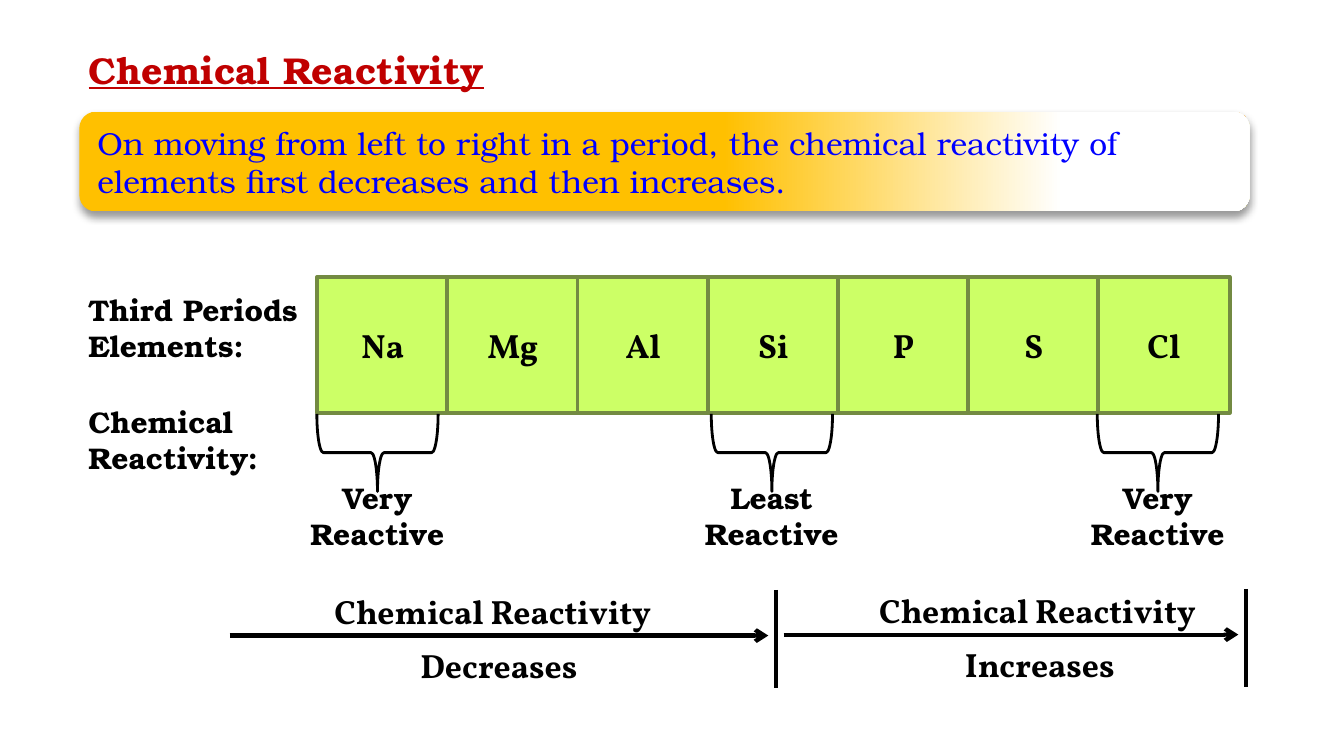
import pptx
import pptx.util
import pptx.dml.color
import pptx.enum.shapes
import pptx.enum.text
import pptx.oxml
import pptx.oxml.ns
import lxml.etree

Pt = pptx.util.Pt
RGB = pptx.dml.color.RGBColor
SHAPE = pptx.enum.shapes.MSO_SHAPE
ALIGN = pptx.enum.text.PP_ALIGN
ANCHOR = pptx.enum.text.MSO_ANCHOR

BLACK = RGB(0x00, 0x00, 0x00)
WHITE = RGB(0xFF, 0xFF, 0xFF)
RED = RGB(0xC0, 0x00, 0x00)
BLUE = RGB(0x00, 0x00, 0xFF)
GOLD = RGB(0xFF, 0xC0, 0x00)
LIME = RGB(0xCC, 0xFF, 0x66)
OLIVE = RGB(0x73, 0x8A, 0x42)
BONUM = "TeX Gyre Bonum"
VOLL = "Vollkorn"

deck = pptx.Presentation()
deck.slide_width = Pt(720)
deck.slide_height = Pt(405)
slide = deck.slides.add_slide(deck.slide_layouts[5])
shapes = slide.shapes


def write(shape, text, face, size, color=BLACK, bold=True, align=ALIGN.LEFT,
          anchor=ANCHOR.TOP, wrap=True):
    frame = shape.text_frame
    frame.text = text
    frame.word_wrap = wrap
    frame.auto_size = pptx.enum.text.MSO_AUTO_SIZE.NONE
    frame.vertical_anchor = anchor
    for para in frame.paragraphs:
        para.alignment = align
        para.font.name = face
        para.font.size = Pt(size)
        para.font.bold = bold
        para.font.color.rgb = color


def rule(x1, y1, x2, y2, arrow=False):
    line = shapes.add_connector(pptx.enum.shapes.MSO_CONNECTOR.STRAIGHT,
                                Pt(x1), Pt(y1), Pt(x2), Pt(y2))
    line.line.color.rgb = BLACK
    line.line.width = Pt(2.25)
    props = line.element.spPr
    if arrow:
        tail = lxml.etree.SubElement(line.line._get_or_add_ln(),
                                     pptx.oxml.ns.qn("a:tailEnd"))
        tail.set("type", "arrow")
    lxml.etree.SubElement(props, pptx.oxml.ns.qn("a:effectLst"))


# Title
title = shapes.title
title.left, title.top, title.width, title.height = Pt(40.3), Pt(21.6), Pt(256.3), Pt(31.7)
write(title, "Chemical Reactivity", BONUM, 20, RED)
title.text_frame.paragraphs[0].font.underline = True

# Banner with gradient and soft shadow
banner = shapes.add_shape(SHAPE.ROUNDED_RECTANGLE, Pt(42.5), Pt(59.8), Pt(627), Pt(53.5))
banner.line.fill.background()
banner.fill.gradient()
banner.fill.gradient_angle = 0
for stop, place, color in zip(banner.fill.gradient_stops, (0.55, 0.84), (GOLD, WHITE)):
    stop.position = place
    stop.color.rgb = color
banner.shadow.inherit = False
glow = banner.element.spPr.find(pptx.oxml.ns.qn("a:effectLst"))
glow.append(pptx.oxml.parse_xml(
    '<a:outerShdw xmlns:a="http://schemas.openxmlformats.org/drawingml/2006/main"'
    ' blurRad="50800" dist="38100" dir="5400000" algn="t" rotWithShape="0">'
    '<a:srgbClr val="000000"><a:alpha val="40000"/></a:srgbClr></a:outerShdw>'))
write(banner, "On moving from left to right in a period, the chemical reactivity of "
      "elements first decreases and then increases.",
      BONUM, 17, BLUE, bold=False, anchor=ANCHOR.MIDDLE)

# Row of elements
for i, name in enumerate(("Na", "Mg", "Al", "Si", "P", "S", "Cl")):
    cell = shapes.add_shape(SHAPE.RECTANGLE, Pt(169.9 + 69.75 * i), Pt(148.4),
                            Pt(70.4), Pt(72.8))
    cell.fill.solid()
    cell.fill.fore_color.rgb = LIME
    cell.line.color.rgb = OLIVE
    cell.line.width = Pt(2)
    cell.shadow.inherit = False
    write(cell, name, VOLL, 18, align=ALIGN.CENTER, anchor=ANCHOR.MIDDLE)

# Row labels
for top, text in ((152.6, "Third Periods\nElements:"), (212.9, "Chemical\nReactivity:")):
    label = shapes.add_textbox(Pt(40.3), Pt(top), Pt(128), Pt(46))
    write(label, text, BONUM, 16, wrap=False)

# Braces and the notes below them
for mid, level in ((202.2, "Very"), (413.5, "Least"), (620.3, "Very")):
    brace = shapes.add_shape(SHAPE.RIGHT_BRACE, Pt(mid - 20.8), Pt(210), Pt(41.6), Pt(65))
    brace.rotation = 90
    brace.fill.background()
    brace.line.color.rgb = BLACK
    brace.line.width = Pt(1.5)
    brace.shadow.inherit = False
    note = shapes.add_textbox(Pt(mid - 44), Pt(253.4), Pt(88), Pt(46))
    write(note, level + "\nReactive", BONUM, 16, align=ALIGN.CENTER, wrap=False)

# Trend arrows, each ending at an upright bar
for start, bar, left, y, trend in ((123.1, 415.6, 172.1, 340.5, "Decreases"),
                                   (419.8, 667.4, 463.9, 340, "Increases")):
    rule(start, y, bar - 4, y, arrow=True)
    rule(bar, y - 24.5, bar, y + 28)
    above = shapes.add_textbox(Pt(left), Pt(y - 27.3), Pt(217.4), Pt(29))
    write(above, "Chemical Reactivity", VOLL, 18)
    below = shapes.add_textbox(Pt(left + 46), Pt(y + 1.5), Pt(134.6), Pt(29))
    write(below, trend, VOLL, 18)

deck.save("out.pptx")
